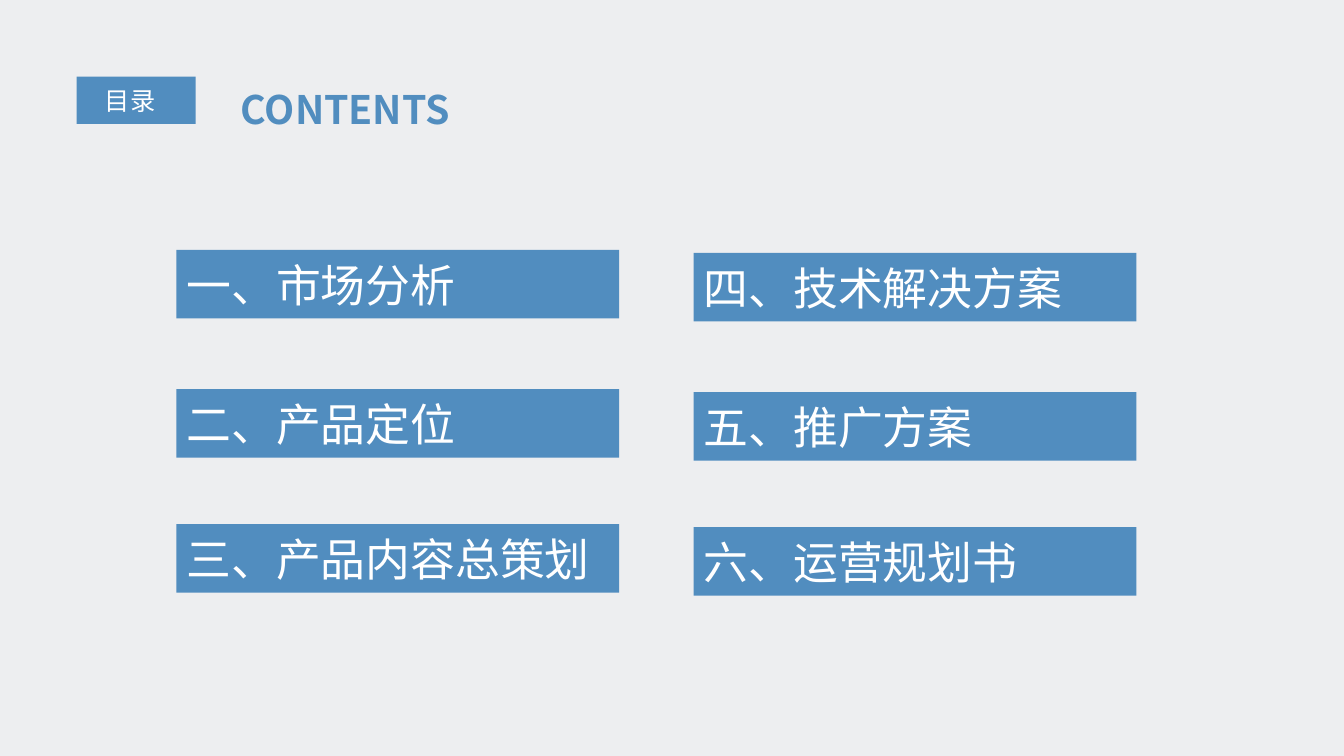
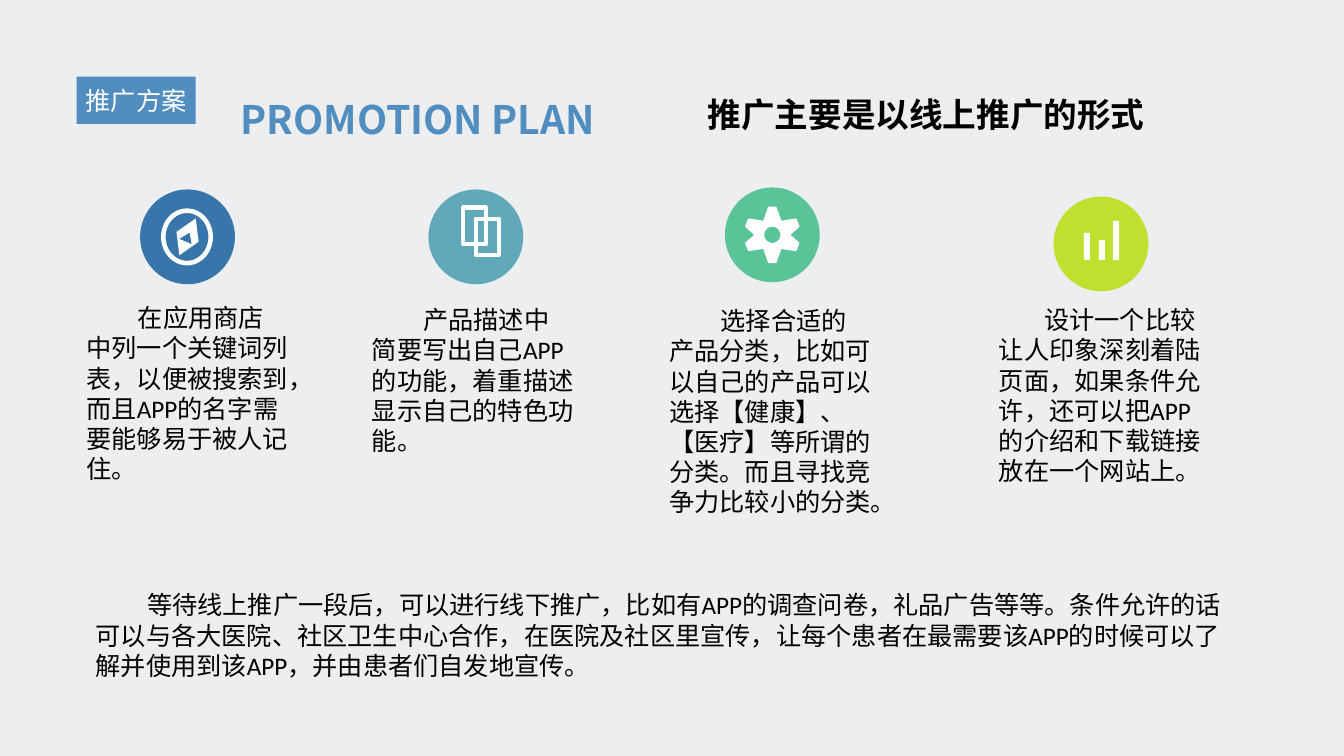
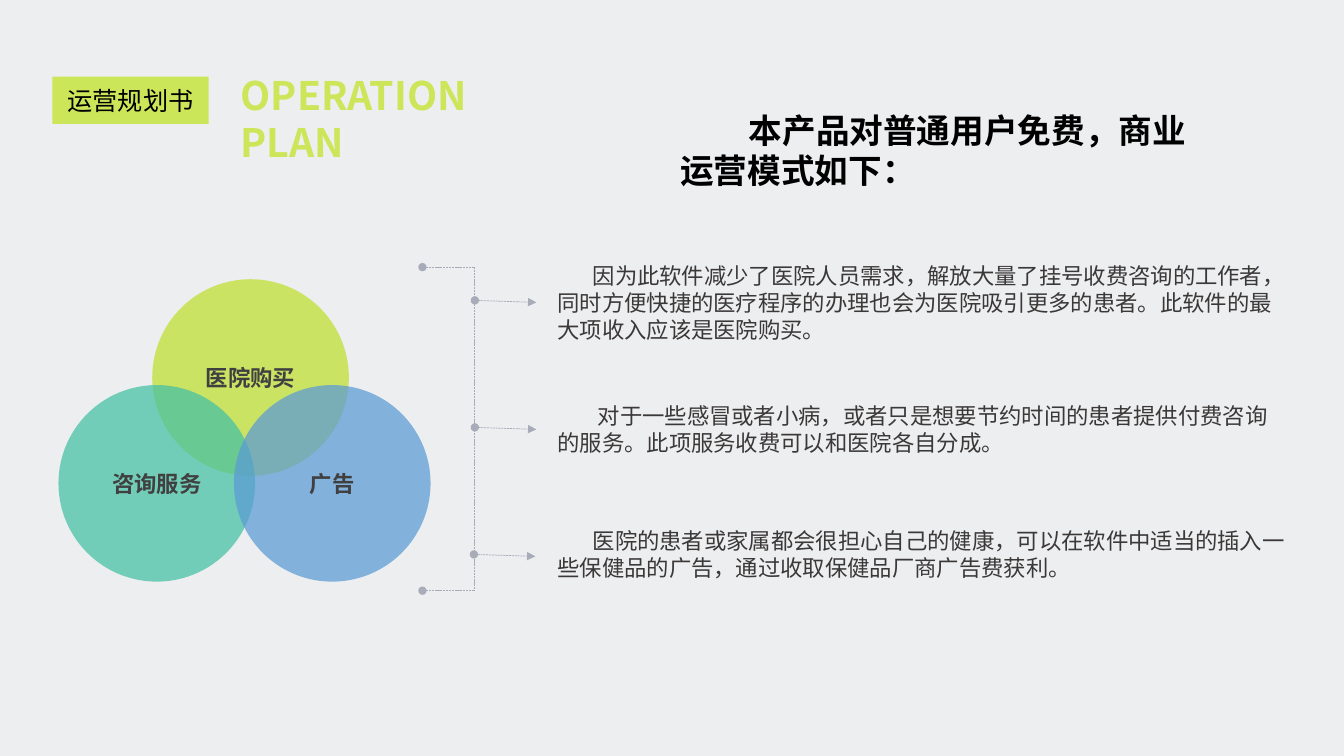
from dataclasses import dataclass
from math import cos, pi, sin

from lxml import etree
from pptx import Presentation
from pptx.dml.color import RGBColor
from pptx.enum.dml import MSO_LINE
from pptx.enum.shapes import MSO_CONNECTOR, MSO_SHAPE
from pptx.enum.text import MSO_ANCHOR, PP_ALIGN
from pptx.oxml.ns import qn
from pptx.util import Inches, Pt


@dataclass(frozen=True)
class Theme:
    background: str = "EDEEF0"
    blue: str = "518DBF"
    lime: str = "CBE658"
    bright_lime: str = "BEE02F"
    navy: str = "3875AA"
    teal: str = "61A8B8"
    green: str = "5AC498"
    mint: str = "45C1A4"
    sky: str = "5B9BD5"
    rule: str = "A8ABB8"
    white: str = "FFFFFF"
    black: str = "000000"
    dark: str = "404040"
    body: str = "3B3838"
    latin: str = "Calibri"
    cjk: str = "Noto Sans CJK SC"
    contents_size: int = 32
    title_size: int = 28
    lead_size: int = 24
    text_size: int = 18
    small_size: int = 16


THEME = Theme()

CONTENTS = [
    ["一、市场分析", "二、产品定位", "三、产品内容总策划"],
    ["四、技术解决方案", "五、推广方案", "六、运营规划书"],
]
CONTENTS_COLUMNS = [(1.75, 0), (6.88, 0.03)]  # left, downward shift
CONTENTS_ROWS = [2.48, 3.86, 5.2]

PROMOTION_LEAD = "推广主要是以线上推广的形式"
# left, top, first-line indent, text
PROMOTION_STEPS = [
    (0.76, 2.95, 0.51, "在应用商店中列一个关键词列表，以便被搜索到，而且APP的名字需要能够易于被人记住。"),
    (3.59, 2.97, 0.51, "产品描述中简要写出自己APP的功能，着重描述显示自己的特色功能。"),
    (6.54, 2.98, 0.51, "选择合适的产品分类，比如可以自己的产品可以选择【健康】、【医疗】等所谓的分类。而且寻找竞争力比较小的分类。"),
    (9.81, 2.97, 0.45, "设计一个比较让人印象深刻着陆页面，如果条件允许，还可以把APP的介绍和下载链接放在一个网站上。"),
]
PROMOTION_SUMMARY = (
    "等待线上推广一段后，可以进行线下推广，比如有APP的调查问卷，礼品广告等等。"
    "条件允许的话可以与各大医院、社区卫生中心合作，在医院及社区里宣传，"
    "让每个患者在最需要该APP的时候可以了解并使用到该APP，并由患者们自发地宣传。"
)

OPERATION_LEAD = "本产品对普通用户免费，商业运营模式如下："
REVENUE_CIRCLES = [
    (1.51, 2.77, THEME.bright_lime, "医院购买"),
    (0.58, 3.82, THEME.mint, "咨询服务"),
    (2.32, 3.82, THEME.sky, "广告"),
]
# top, height, indent, arrow start, text
REVENUE_NOTES = [
    (2.55, 0.91, 0.35, (4.71, 2.98), "因为此软件减少了医院人员需求，解放大量了挂号收费咨询的工作者，同时方便快捷的医疗程序的办理也会为医院吸引更多的患者。此软件的最大项收入应该是医院购买。"),
    (3.94, 0.64, 0.4, (4.71, 4.24), "对于一些感冒或者小病，或者只是想要节约时间的患者提供付费咨询的服务。此项服务收费可以和医院各自分成。"),
    (5.18, 0.64, 0.35, (4.7, 5.5), "医院的患者或家属都会很担心自己的健康，可以在软件中适当的插入一些保健品的广告，通过收取保健品厂商广告费获利。"),
]
BRACKET = (4.19, 4.7, 2.65, 5.86)  # left, right, top, bottom

ICON_SIZE = 0.94
# Upper right quarter of the gear outline, measured from its centre
GEAR_QUARTER = [(0.04, -0.28), (0.09, -0.14), (0.22, -0.16), (0.24, -0.16),
                (0.26, -0.11), (0.27, -0.08), (0.18, 0)]


def write(shape, text, size=THEME.text_size, color=THEME.black, font=THEME.latin,
          bold=False, align=PP_ALIGN.LEFT, anchor=MSO_ANCHOR.TOP, indent=0, margin=0.1):
    frame = shape.text_frame
    frame.word_wrap = True
    frame.vertical_anchor = anchor
    frame.margin_left = frame.margin_right = Inches(margin)
    for index, line in enumerate(text.split("\n")):
        paragraph = frame.paragraphs[0] if index == 0 else frame.add_paragraph()
        paragraph.alignment = align
        if indent:
            properties = paragraph._p.get_or_add_pPr()
            properties.set("marL", "0")
            properties.set("indent", str(Inches(indent)))
        run = paragraph.add_run()
        run.text = line
        run.font.size = Pt(size)
        run.font.bold = bold
        run.font.name = font
        run.font.color.rgb = RGBColor.from_string(color)
        if font == THEME.cjk:
            etree.SubElement(run._r.get_or_add_rPr(), qn("a:ea")).set("typeface", font)


def add_text(slide, left, top, width, height, text, **style):
    box = slide.shapes.add_textbox(Inches(left), Inches(top), Inches(width), Inches(height))
    write(box, text, **style)


def paint(shape, fill=None, line=None, line_width=0, alpha=None):
    shape.shadow.inherit = False
    if fill:
        shape.fill.solid()
        shape.fill.fore_color.rgb = RGBColor.from_string(fill)
    else:
        shape.fill.background()
    if alpha:
        color = shape.fill._xPr.find(qn("a:solidFill"))[0]
        etree.SubElement(color, qn("a:alpha")).set("val", str(alpha * 1000))
    if line:
        shape.line.color.rgb = RGBColor.from_string(line)
        shape.line.width = Pt(line_width)
    else:
        shape.line.fill.background()
    return shape


def add_preset(shapes, preset, left, top, width, height, **style):
    shape = shapes.add_shape(preset, Inches(left), Inches(top), Inches(width), Inches(height))
    return paint(shape, **style)


def add_outline(shapes, contours, fill):
    """Draw closed contours as one shape; an inner contour becomes a hole."""
    contours = [[(Inches(x), Inches(y)) for x, y in contour] for contour in contours]
    builder = shapes.build_freeform(*contours[0][0])
    builder.add_line_segments(contours[0][1:], close=True)
    for contour in contours[1:]:
        builder.move_to(*contour[0])
        builder.add_line_segments(contour[1:], close=True)
    return paint(builder.convert_to_shape(), fill=fill)


def add_rule(slide, start, end, head=None, tail=None):
    points = [Inches(value) for value in (*start, *end)]
    connector = slide.shapes.add_connector(MSO_CONNECTOR.STRAIGHT, *points)
    connector.line.color.rgb = RGBColor.from_string(THEME.rule)
    connector.line.width = Pt(0.5)
    connector.line.dash_style = MSO_LINE.SQUARE_DOT
    line = connector.line._get_or_add_ln()
    for tag, kind in (("a:headEnd", head), ("a:tailEnd", tail)):
        if kind:
            etree.SubElement(line, qn(tag)).set("type", kind)
    etree.SubElement(connector._element.spPr, qn("a:effectLst"))


def add_slide(presentation, badge, title, color=THEME.blue, badge_color=THEME.white,
              badge_left=0.76, badge_width=1.18, title_top=0.79, **badge_style):
    """Start a slide with its badge and English title."""
    slide = presentation.slides.add_slide(presentation.slide_layouts[6])
    shape = add_preset(slide.shapes, MSO_SHAPE.RECTANGLE, badge_left, 0.76, badge_width, 0.47,
                       fill=color)
    style = dict(font=THEME.cjk, align=PP_ALIGN.CENTER) | badge_style
    write(shape, badge, color=badge_color, anchor=MSO_ANCHOR.MIDDLE, margin=0, **style)
    add_text(slide, 2.29, title_top, 3.83, 0.77, title, size=THEME.title_size, color=color,
             font=THEME.cjk, bold=True, anchor=MSO_ANCHOR.MIDDLE)
    return slide


def draw_compass(shapes, left, top):
    add_preset(shapes, MSO_SHAPE.OVAL, left + 0.23, top + 0.21, 0.47, 0.52,
               line=THEME.white, line_width=3.25)
    needle = add_preset(shapes, MSO_SHAPE.FLOWCHART_SORT, left + 0.35, top + 0.27, 0.24, 0.4,
                        fill=THEME.white)
    needle.rotation = 24
    tip = [(0.51, 0.54), (0.39, 0.49), (0.49, 0.43)]
    add_outline(shapes, [[(left + x, top + y) for x, y in tip]], THEME.navy)


def draw_pages(shapes, left, top):
    for x, y in ((0.34, 0.18), (0.47, 0.29)):
        add_preset(shapes, MSO_SHAPE.RECTANGLE, left + x, top + y, 0.23, 0.36,
                   line=THEME.white, line_width=3)


def draw_gear(shapes, left, top):
    center_x, center_y = left + ICON_SIZE / 2, top + ICON_SIZE / 2
    right = GEAR_QUARTER + [(x, -y) for x, y in GEAR_QUARTER[-2::-1]]
    rim = right + [(-x, y) for x, y in reversed(right)]
    hole = [(0.08 * cos(step * pi / 16), 0.08 * sin(step * pi / 16)) for step in range(32)]
    contours = [[(center_x + x, center_y + y) for x, y in part] for part in (rim, hole)]
    add_outline(shapes, contours, THEME.white)


def draw_bars(shapes, left, top):
    for x, height in ((0.3, 0.27), (0.45, 0.2), (0.59, 0.39)):
        add_preset(shapes, MSO_SHAPE.RECTANGLE, left + x, top + 0.63 - height, 0.06, height,
                   fill=THEME.white)


ICONS = [
    (1.39, 1.88, THEME.navy, draw_compass),
    (4.25, 1.88, THEME.teal, draw_pages),
    (7.19, 1.86, THEME.green, draw_gear),
    (10.45, 1.95, THEME.bright_lime, draw_bars),
]


def build_contents(presentation):
    slide = add_slide(presentation, "目录", "CONTENTS", title_top=0.69,
                      font=THEME.latin, align=PP_ALIGN.LEFT, indent=0.28)
    for (left, shift), entries in zip(CONTENTS_COLUMNS, CONTENTS):
        for top, entry in zip(CONTENTS_ROWS, entries):
            bar = add_preset(slide.shapes, MSO_SHAPE.RECTANGLE, left, top + shift, 4.39, 0.68,
                             fill=THEME.blue)
            write(bar, entry, size=THEME.contents_size, color=THEME.white,
                  anchor=MSO_ANCHOR.MIDDLE)


def build_promotion(presentation):
    slide = add_slide(presentation, "推广方案", "PROMOTION PLAN")
    for left, top, color, draw_symbol in ICONS:
        icon = slide.shapes.add_group_shape().shapes
        add_preset(icon, MSO_SHAPE.OVAL, left, top, ICON_SIZE, ICON_SIZE, fill=color)
        draw_symbol(icon, left, top)
    for left, top, indent, text in PROMOTION_STEPS:
        add_text(slide, left, top, 2.2, 2.22, text, indent=indent)
    add_text(slide, 0.85, 5.8, 11.39, 1.01, PROMOTION_SUMMARY, indent=0.51)
    add_text(slide, 6.92, 0.88, 5.35, 0.5, PROMOTION_LEAD, size=THEME.lead_size, bold=True)


def build_operation(presentation):
    slide = add_slide(presentation, "运营规划书", "OPERATION\nPLAN", color=THEME.lime,
                      badge_color=THEME.black, badge_left=0.52, badge_width=1.55)
    for left, top, color, label in REVENUE_CIRCLES:
        circle = add_preset(slide.shapes, MSO_SHAPE.OVAL, left, top, 1.95, 1.95,
                            fill=color, alpha=73)
        write(circle, label, size=THEME.small_size, color=THEME.dark, font=THEME.cjk,
              bold=True, align=PP_ALIGN.CENTER, anchor=MSO_ANCHOR.MIDDLE)
    left, right, top, bottom = BRACKET
    add_rule(slide, (right, top), (right, bottom))
    for level in (top, bottom):
        add_rule(slide, (left, level), (right, level), head="oval")
    for top, height, indent, (x, y), text in REVENUE_NOTES:
        add_rule(slide, (x, y), (x + 0.61, y + 0.02), head="oval", tail="triangle")
        add_text(slide, 5.43, top, 7.42, height, text, size=THEME.small_size,
                 color=THEME.body, font=THEME.cjk, indent=indent)
    add_text(slide, 6.65, 1.04, 5.43, 0.91, OPERATION_LEAD, size=THEME.lead_size,
             bold=True, indent=0.68)


def main():
    presentation = Presentation()
    presentation.slide_width, presentation.slide_height = Inches(13.33), Inches(7.5)
    background = presentation.slide_master.background.fill
    background.solid()
    background.fore_color.rgb = RGBColor.from_string(THEME.background)
    build_contents(presentation)
    build_promotion(presentation)
    build_operation(presentation)
    presentation.save("out.pptx")


if __name__ == "__main__":
    main()
